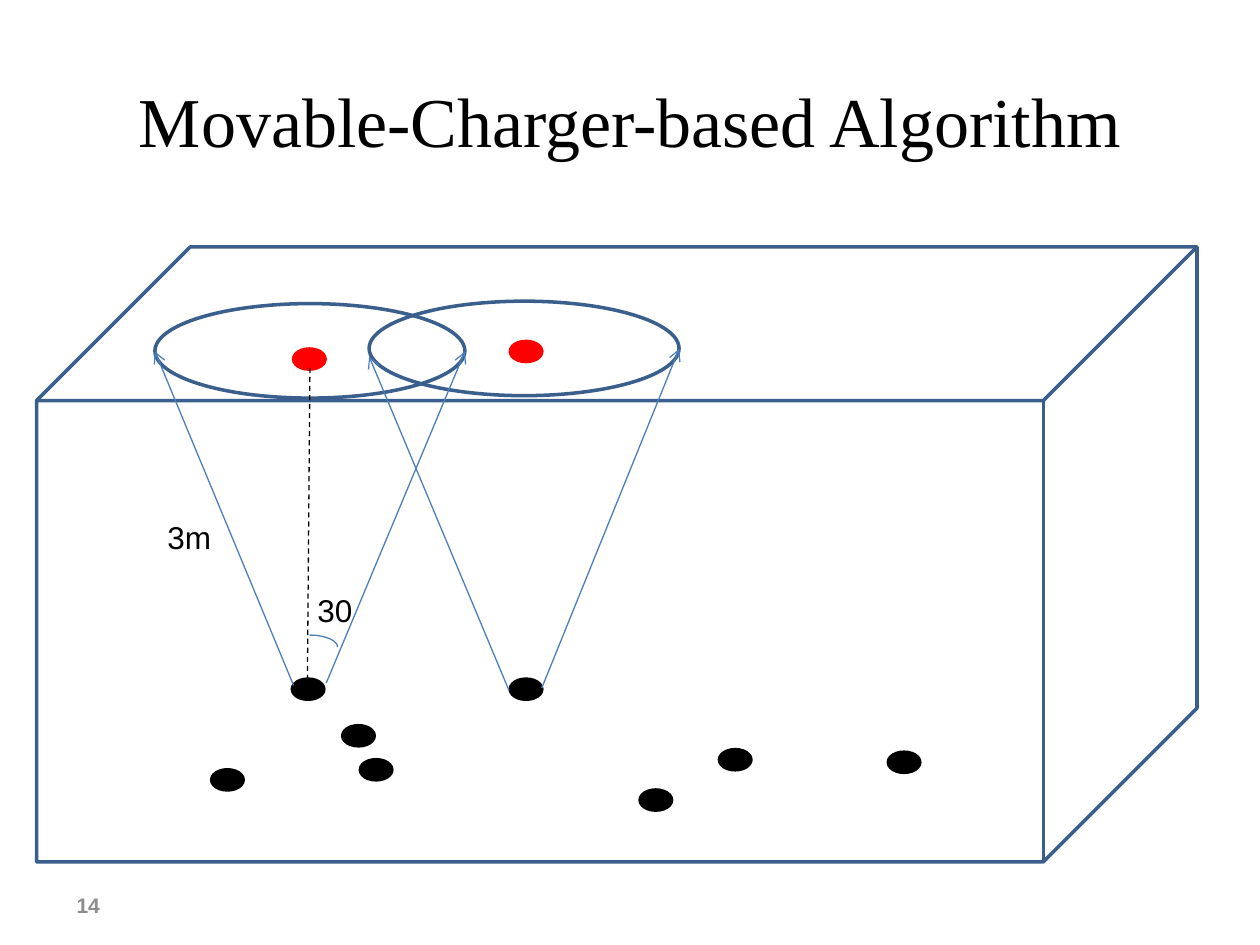
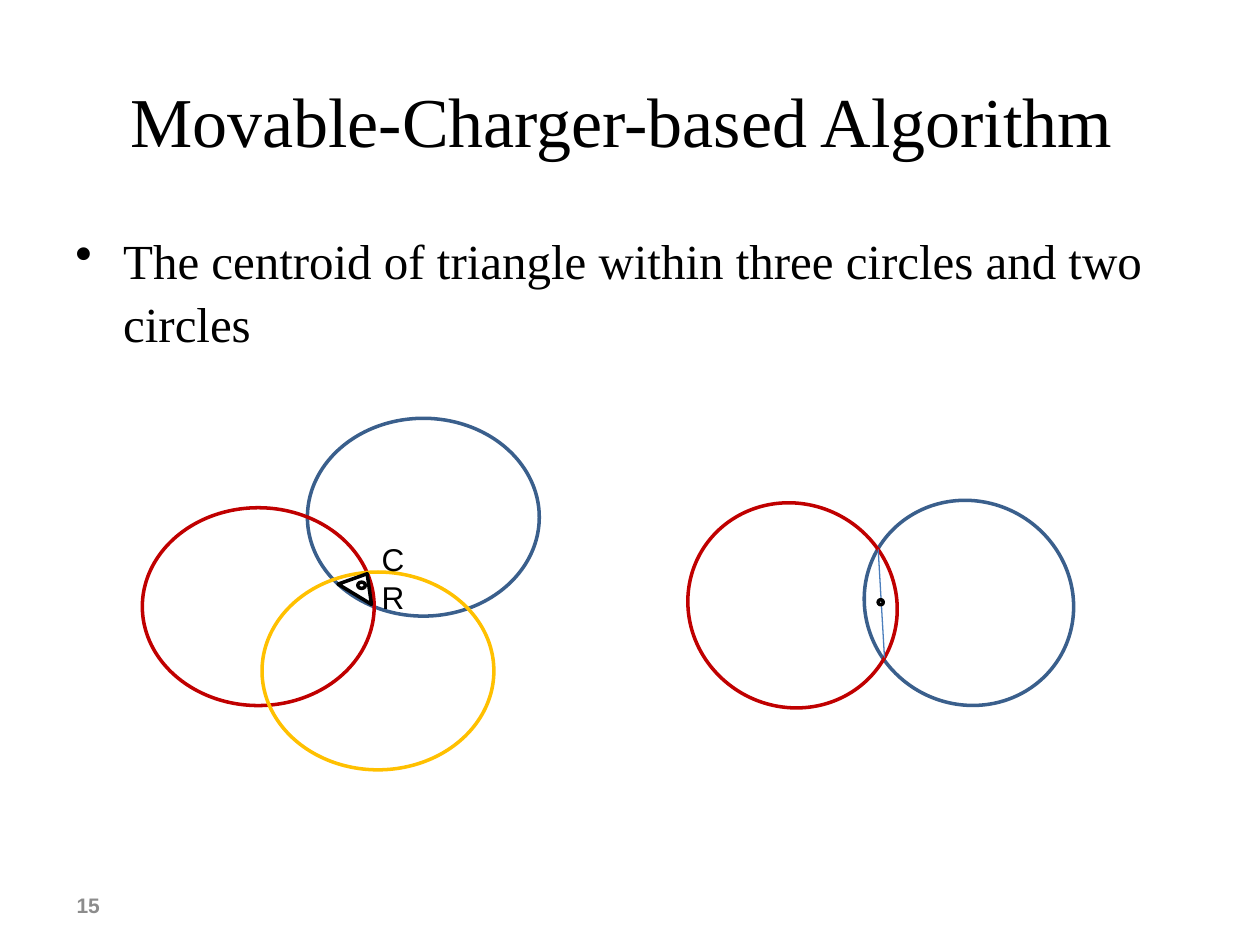
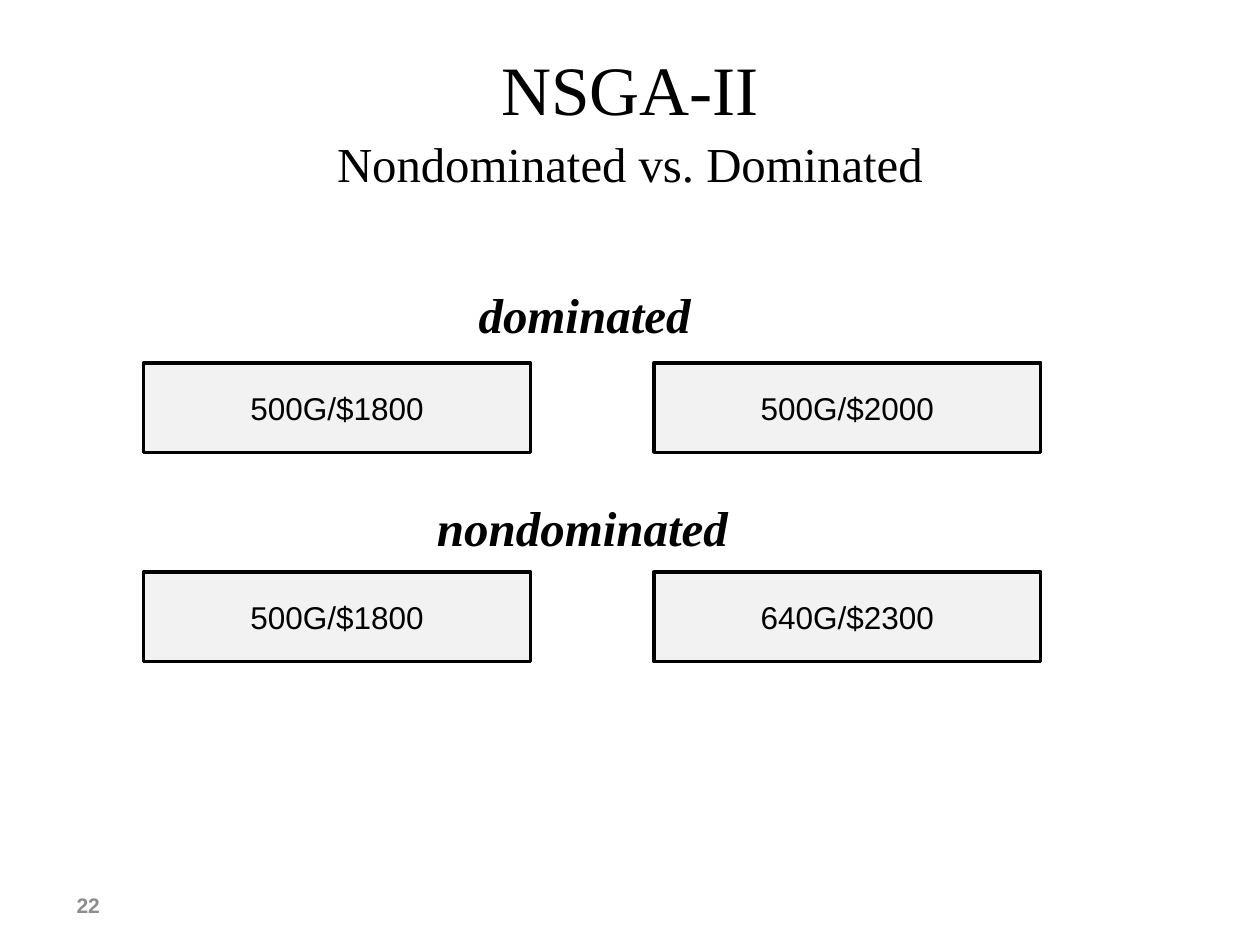
import pptx
import pptx.util
import pptx.dml.color
import pptx.enum.dml
import pptx.enum.shapes
import pptx.enum.text
import pptx.oxml.ns
from lxml import etree

COLORS = {
    "ink": "000000",
    "outline": "3A5F8C",
    "ray": "4B7EBC",
    "charger": "FF0000",
    "red": "C00000",
    "gold": "FFC000",
    "panel": "F2F2F2",
    "paper": "FFFFFF",
    "number": "8C8C8C",
}
SERIF, SANS = "Times New Roman", "Arial"
COLUMNS, ROWS = 100, 75
WIDTH, HEIGHT = pptx.util.Inches(10), pptx.util.Inches(7.5)
SHAPE = pptx.enum.shapes.MSO_SHAPE
ALIGN = pptx.enum.text.PP_ALIGN
MIDDLE = pptx.enum.text.MSO_ANCHOR.MIDDLE
TITLE = "Movable-Charger-based Algorithm"


def across(columns):
    return round(WIDTH * columns / COLUMNS)


def down(rows):
    return round(HEIGHT * rows / ROWS)


def place(left, top, width, height):
    return across(left), down(top), across(width), down(height)


def rgb(name):
    return pptx.dml.color.RGBColor.from_string(COLORS[name])


def add_child(parent, tag, **attributes):
    return etree.SubElement(parent, pptx.oxml.ns.qn(tag), attributes)


def style_font(font, size, face=SANS, color="ink", bold=False, italic=False):
    font.size = pptx.util.Pt(size)
    font.name = face
    font.color.rgb = rgb(color)
    font.bold = bold
    font.italic = italic


def add_text(slide, box, text, size, face=SANS, wrap=False, anchor=None,
             align=ALIGN.LEFT, **style):
    frame = slide.shapes.add_textbox(*place(*box)).text_frame
    frame.word_wrap = wrap
    if anchor is not None:
        frame.vertical_anchor = anchor
    paragraph = frame.paragraphs[0]
    paragraph.text = text
    paragraph.alignment = align
    if face == SERIF:
        paragraph.line_spacing = 1.07
    style_font(paragraph.font, size, face, **style)
    return paragraph


def add_figure(slide, kind, box, line="outline", fill=None, weight=2, turn=0):
    figure = slide.shapes.add_shape(kind, *place(*box))
    figure.shadow.inherit = False
    figure.rotation = turn
    figure.line.color.rgb = rgb(line)
    figure.line.width = pptx.util.Pt(weight)
    if fill:
        figure.fill.solid()
        figure.fill.fore_color.rgb = rgb(fill)
    else:
        figure.fill.background()
    return figure


def add_ray(slide, start, end, color="ray", arrow=False, dashed=False):
    ray = slide.shapes.add_connector(
        pptx.enum.shapes.MSO_CONNECTOR.STRAIGHT,
        across(start[0]), down(start[1]), across(end[0]), down(end[1]))
    ray.line.color.rgb = rgb(color)
    ray.line.width = pptx.util.Pt(0.75)
    if dashed:
        ray.line.dash_style = pptx.enum.dml.MSO_LINE.DASH
    if arrow:
        add_child(ray.line._get_or_add_ln(), "a:tailEnd", type="arrow")
    add_child(ray._element.spPr, "a:effectLst")


def add_dot(slide, left, top, color="ink"):
    add_figure(slide, SHAPE.OVAL, (left, top, 2.5, 1.6), color, color)


def add_bullet(slide, box, text):
    paragraph = add_text(slide, box, text, 28, SERIF, wrap=True)
    properties = paragraph._p.get_or_add_pPr()
    indent = pptx.util.Inches(0.38)
    properties.set("marL", str(indent))
    properties.set("indent", str(-indent))
    defaults = properties.find(pptx.oxml.ns.qn("a:defRPr"))
    defaults.addprevious(add_child(properties, "a:buChar", char="•"))


def add_panel(slide, box, text):
    panel = add_figure(slide, SHAPE.RECTANGLE, box, "ink", "panel")
    panel.text_frame.vertical_anchor = MIDDLE
    paragraph = panel.text_frame.paragraphs[0]
    paragraph.text = text
    paragraph.alignment = ALIGN.CENTER
    style_font(paragraph.font, 18)


def new_slide(deck, number, title, size=40):
    slide = deck.slides.add_slide(deck.slide_layouts[6])
    heading = add_text(slide, (5, 3, 90, 12.5), title, size, SERIF, wrap=True,
                       anchor=MIDDLE, align=ALIGN.CENTER)
    add_text(slide, (5.1, 69.8, 23.3, 4), str(number), 12, wrap=True,
             anchor=MIDDLE, color="number", bold=True)
    return slide, heading


def build_charging_space(deck):
    slide, _ = new_slide(deck, 14, TITLE)
    add_figure(slide, SHAPE.CUBE, (2.9, 19.6, 92.1, 48.8))
    sensors = [(16.8, 61.1), (28.6, 60.3), (40.5, 53.9), (23.2, 53.9),
               (70.5, 59.7), (50.8, 62.7), (57.1, 59.5), (27.2, 57.6)]
    for left, top in sensors:
        add_dot(slide, left, top)
    for left, top in [(23.3, 27.7), (40.5, 27.1)]:
        add_dot(slide, left, top, "charger")
    for left, top in [(12.3, 24.1), (29.3, 23.9)]:
        add_figure(slide, SHAPE.OVAL, (left, top, 24.6, 7.5))
    for start, end in [((23.3, 54.4), (12.3, 27.9)), ((25.9, 54.2), (36.9, 27.9)),
                       ((40.4, 54.8), (29.3, 28.3)), ((43, 54.6), (53.9, 27.7))]:
        add_ray(slide, start, end, arrow=True)
    add_ray(slide, (24.6, 29.2), (24.4, 53.9), "ink", dashed=True)
    add_figure(slide, SHAPE.ARC, (22.3, 50.4, 4.5, 1.9), "ray", weight=0.75)
    add_text(slide, (24.2, 46.4, 4.8, 4), "30", 18)
    add_text(slide, (12.3, 40.6, 5.5, 4), "3m", 18)


def build_centroids(deck):
    slide, _ = new_slide(deck, 15, TITLE + " ")
    add_bullet(slide, (5, 17.5, 90, 49.5),
               "The centroid of triangle within three circles and two circles")
    for left, top, color in [(24.4, 33.2, "outline"), (11.3, 40.3, "red"),
                             (20.8, 45.4, "gold")]:
        add_figure(slide, SHAPE.OVAL, (left, top, 18.4, 15.7), color)
    add_figure(slide, SHAPE.ISOSCELES_TRIANGLE, (27.1, 45.4, 3.1, 1.9), "ink",
               turn=31.3)
    add_figure(slide, SHAPE.OVAL, (28.4, 46.2, 0.6, 0.5), "ink", "paper")
    add_text(slide, (29.3, 42.4, 4, 2.7), "CR", 18, wrap=True)
    for left, top, color in [(68.5, 39.8, "outline"), (54.5, 40, "red")]:
        add_figure(slide, SHAPE.OVAL, (left, top, 16.8, 16.1), color, turn=30.4)
    add_ray(slide, (69.7, 43.6), (70.2, 52.2))
    add_figure(slide, SHAPE.OVAL, (69.7, 47.6, 0.4, 0.4), "ink", "paper")


def build_dominance(deck):
    slide, heading = new_slide(deck, 22, "NSGA-II", 39.6)
    heading.add_line_break()
    subtitle = heading.add_run()
    subtitle.text = "Nondominated vs. Dominated"
    subtitle.font.size = pptx.util.Pt(27.9)
    pairs = [(28.8, ("500G/$1800", "500G/$2000")),
             (45.4, ("500G/$1800", "640G/$2300"))]
    for top, offers in pairs:
        for column, offer in enumerate(offers):
            add_panel(slide, (11.4 + 40.5 * column, top, 30.7, 7.1), offer)
    for box, relation in [((33.7, 38.7, 25.4, 5.7), "nondominated"),
                          ((37, 21.8, 19, 5.7), "dominated")]:
        add_text(slide, box, relation, 28, SERIF, bold=True, italic=True)


def main():
    deck = pptx.Presentation()
    deck.slide_width, deck.slide_height = WIDTH, HEIGHT
    build_charging_space(deck)
    build_centroids(deck)
    build_dominance(deck)
    deck.save("out.pptx")


if __name__ == "__main__":
    main()
